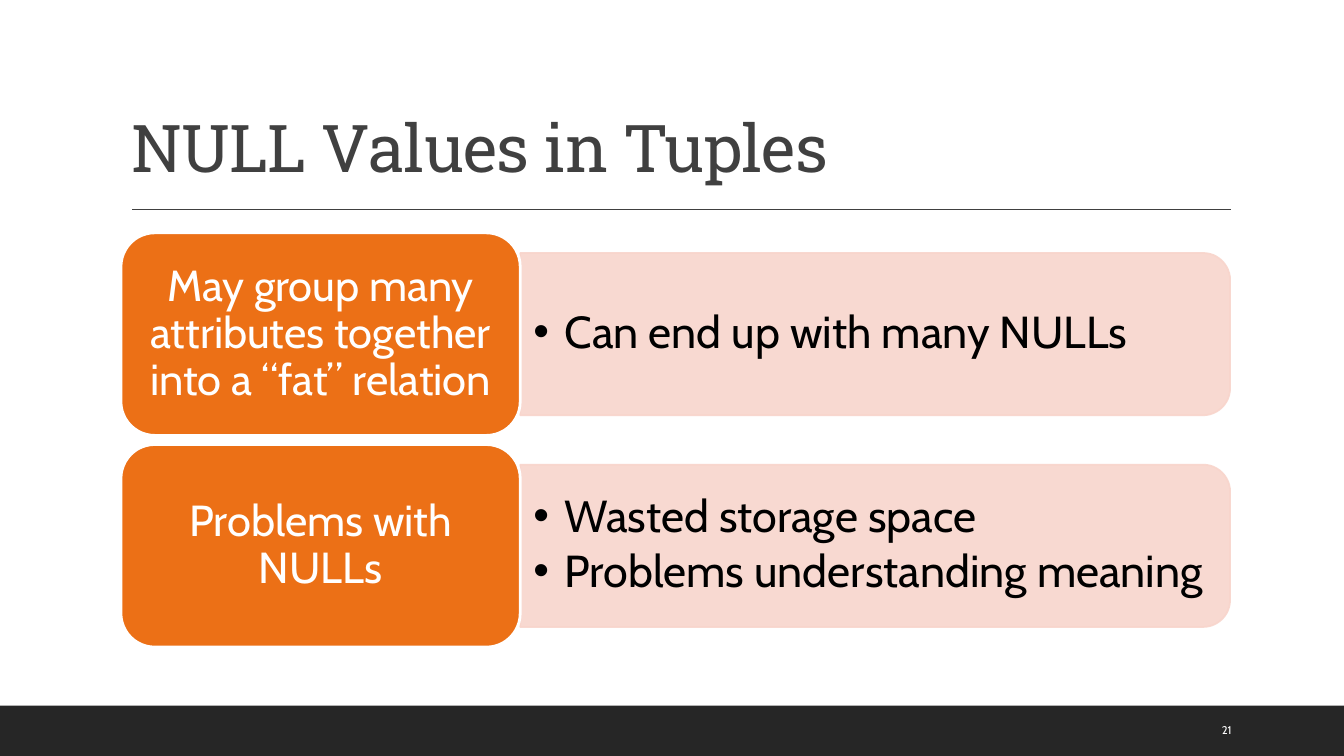
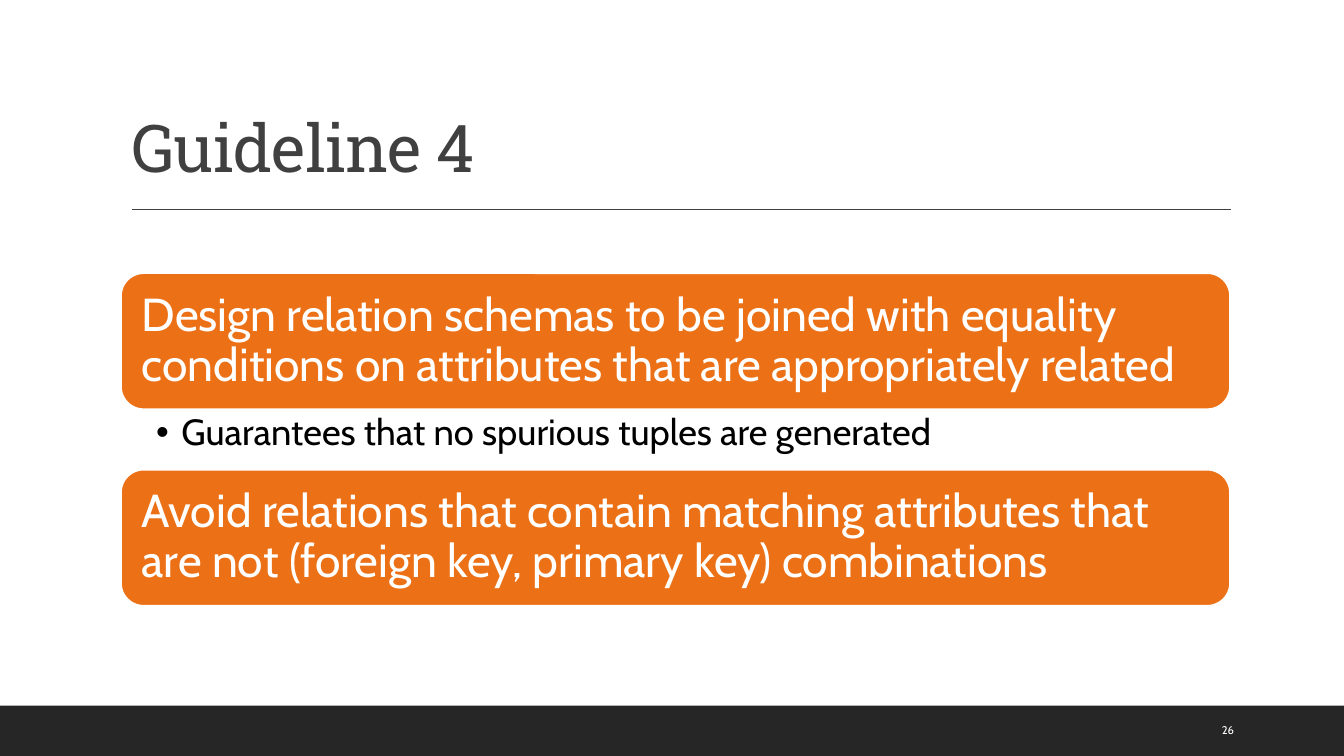
from dataclasses import dataclass
from lxml.etree import SubElement
from pptx import Presentation
from pptx.dml.color import RGBColor
from pptx.enum.shapes import MSO_CONNECTOR, MSO_SHAPE
from pptx.enum.text import MSO_ANCHOR, PP_ALIGN
from pptx.oxml.ns import qn
from pptx.util import Inches, Pt


@dataclass(frozen=True)
class Theme:
    dark: str = "262626"
    gray: str = "404040"
    orange: str = "EC7016"
    pink: str = "F8D5CC"
    white: str = "FFFFFF"
    black: str = "000000"
    head: str = "Roboto Slab"
    body: str = "Cabin"
    title: int = 47
    guide: int = 33
    detail: int = 32
    label: int = 31
    note: int = 26
    number: int = 8


T = Theme()
LEFT, WIDTH = 1.2, 11


def add_box(s, kind, x, y, w, h, fill, line=None, weight=1.25):
    sp = s.shapes.add_shape(kind, Inches(x), Inches(y), Inches(w), Inches(h))
    sp.shadow.inherit = False
    sp.fill.solid()
    sp.fill.fore_color.rgb = RGBColor.from_string(fill)
    if line:
        sp.line.color.rgb = RGBColor.from_string(line)
        sp.line.width = Pt(weight)
    else:
        sp.line.fill.background()
    return sp


def write(sp, lines, size, color, font=T.body, align=PP_ALIGN.LEFT,
          anchor=MSO_ANCHOR.MIDDLE, ins=(0.1, 0.05, 0.1, 0.05), bullet=0, after=0):
    tf = sp.text_frame
    sides = ("margin_left", "margin_top", "margin_right", "margin_bottom")
    frame = {"word_wrap": True, "vertical_anchor": anchor}
    frame.update(zip(sides, map(Inches, ins)))
    for name, value in frame.items():
        setattr(tf, name, value)
    for i, line in enumerate(lines):
        p = tf.add_paragraph() if i else tf.paragraphs[0]
        for name, value in {"alignment": align, "line_spacing": 0.9,
                            "space_before": Pt(0), "space_after": Pt(after)}.items():
            setattr(p, name, value)
        if bullet:
            p.level = 1
            pPr = p._p.get_or_add_pPr()
            pPr.set("marL", str(Inches(bullet)))
            pPr.set("indent", str(-Inches(bullet)))
            SubElement(pPr, qn("a:buFont")).set("typeface", "Arial")
            SubElement(pPr, qn("a:buChar")).set("char", "•")
        r = p.add_run()
        r.text = line
        for name, value in {"name": font, "size": Pt(size)}.items():
            setattr(r.font, name, value)
        r.font.color.rgb = RGBColor.from_string(color)
    return tf


prs = Presentation()
prs.slide_width, prs.slide_height = Inches(13.33), Inches(7.5)

slides = []
for title, number in [("NULL Values in Tuples", "21"), ("Guideline 4", "26")]:
    s = prs.slides.add_slide(prs.slide_layouts[5])
    slides.append(s)
    add_box(s, MSO_SHAPE.RECTANGLE, 0, 7, 13.33, 0.5, T.dark)

    rule = s.shapes.add_connector(MSO_CONNECTOR.STRAIGHT, Inches(1.31), Inches(2.08),
                                  Inches(12.21), Inches(2.08))
    rule.line.color.rgb = RGBColor.from_string(T.gray)
    rule.line.width = Pt(1)
    SubElement(rule._element.spPr, qn("a:effectLst"))

    sp = s.shapes.title
    for name, value in {"left": LEFT, "top": 0.31, "width": WIDTH, "height": 1.59}.items():
        setattr(sp, name, Inches(value))
    tf = write(sp, [title], T.title, T.gray, T.head, anchor=MSO_ANCHOR.BOTTOM)
    tf.paragraphs[0].runs[0]._r.get_or_add_rPr().set("spc", "-50")

    sp = s.shapes.add_textbox(Inches(12.02), Inches(7.05), Inches(0.85), Inches(0.4))
    write(sp, [number], T.number, T.white)

nulls, guideline = slides

label_w, label_h, label_gap = 3.96, 2.01, 0.09
panel_x, panel_w, panel_h = LEFT + label_w, 7.04, 1.61
rows = [
    ("May group many attributes together into a “fat” relation",
     ["Can end up with many NULLs"]),
    ("Problems with NULLs",
     ["Wasted storage space", "Problems understanding meaning"]),
]
for i, (label, details) in enumerate(rows):
    y = 2.31 + i * (label_h + label_gap)
    mid = y + label_h / 2
    panel = add_box(nulls, MSO_SHAPE.ROUND_2_SAME_RECTANGLE,
                    panel_x + (panel_w - panel_h) / 2, mid - panel_w / 2,
                    panel_h, panel_w, T.pink, T.pink)
    panel.rotation = 90
    for clr in panel._element.spPr.iter(qn("a:srgbClr")):
        SubElement(clr, qn("a:alpha")).set("val", "90000")

    sp = nulls.shapes.add_textbox(Inches(panel_x), Inches(mid - 0.73),
                                  Inches(6.96), Inches(1.45))
    write(sp, details, T.detail, T.black, ins=(0.13, 0.07, 0.13, 0.07),
          bullet=0.31, after=5)

    sp = add_box(nulls, MSO_SHAPE.ROUNDED_RECTANGLE, LEFT, y, label_w, label_h,
                 T.orange, T.white, 2)
    write(sp, [label], T.label, T.white, align=PP_ALIGN.CENTER,
          ins=(0.13, 0.06, 0.13, 0.06))

guide_y, guide_h, note_h = 2.71, 1.35, 0.6
guides = [
    "Design relation schemas to be joined with equality conditions on attributes "
    "that are appropriately related",
    "Avoid relations that contain matching attributes that are not "
    "(foreign key, primary key) combinations",
]
for i, text in enumerate(guides):
    sp = add_box(guideline, MSO_SHAPE.ROUNDED_RECTANGLE, LEFT,
                 guide_y + i * (guide_h + note_h), WIDTH, guide_h, T.orange, T.white)
    write(sp, [text], T.guide, T.white, ins=(0.14, 0.14, 0.14, 0.14))

sp = guideline.shapes.add_textbox(Inches(LEFT), Inches(guide_y + guide_h),
                                  Inches(WIDTH), Inches(note_h))
write(sp, ["Guarantees that no spurious tuples are generated"], T.note, T.black,
      anchor=MSO_ANCHOR.TOP, ins=(0.35, 0.05, 0.26, 0.05), bullet=0.25)

prs.save("out.pptx")
